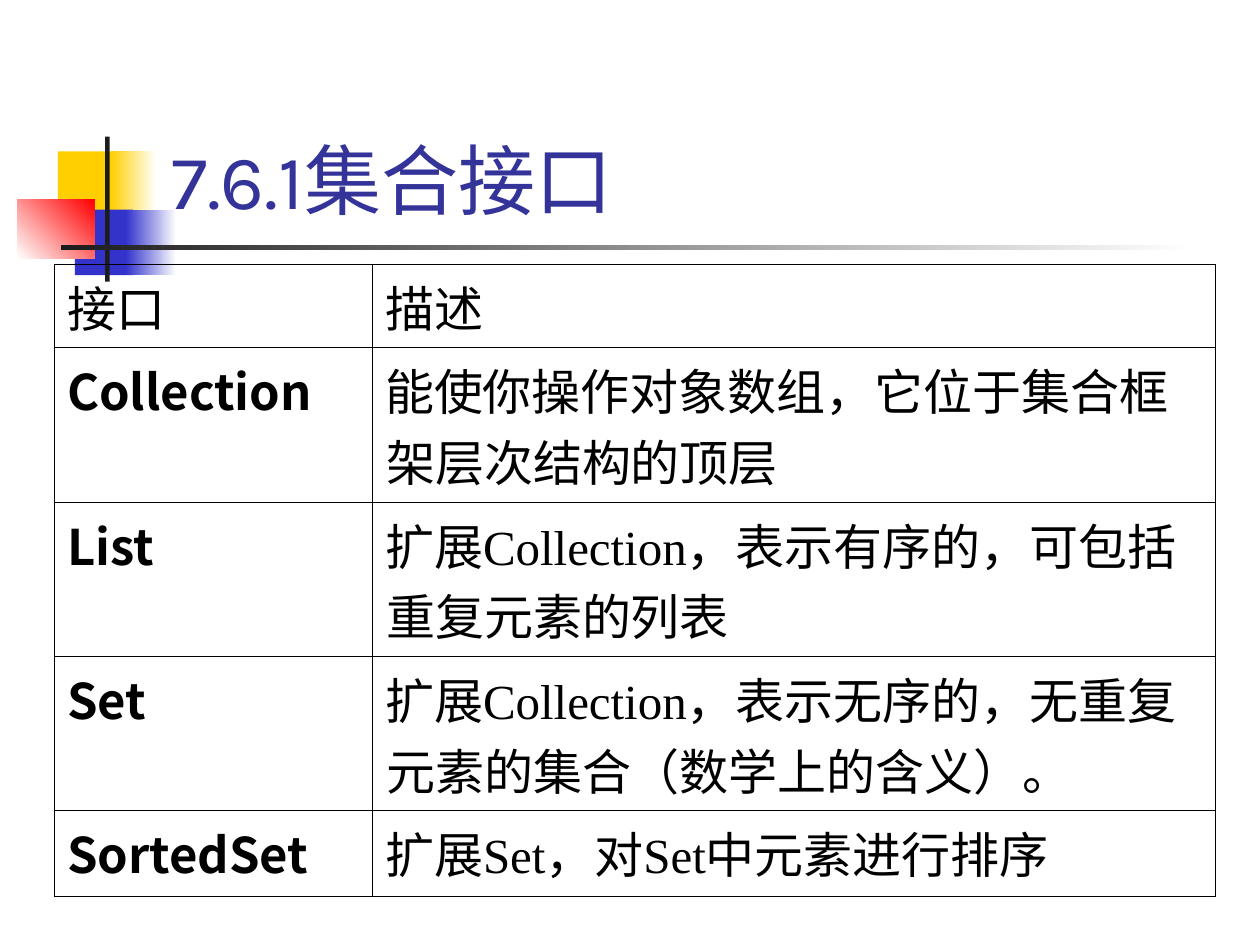
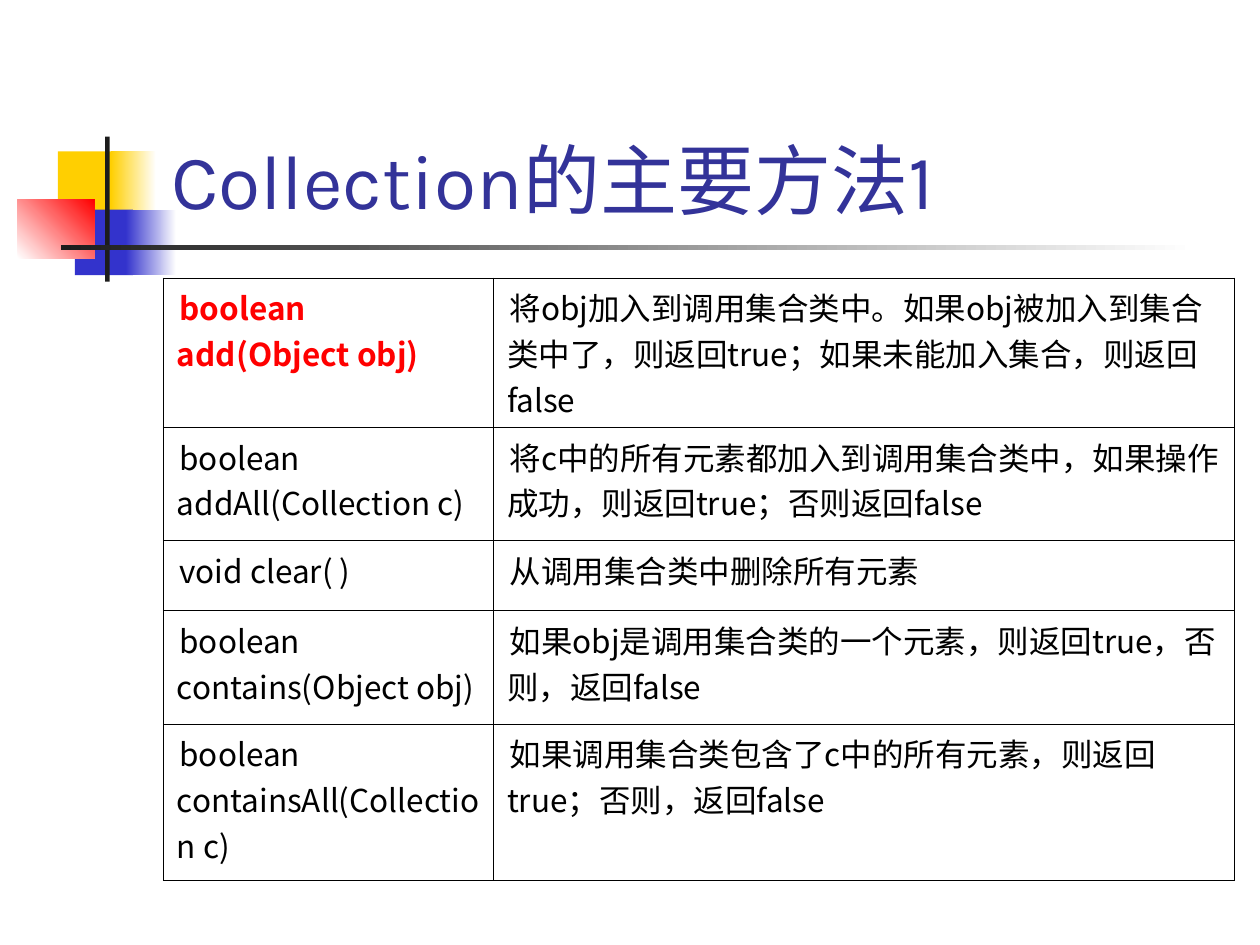
"""Build two slides on Java collection interfaces, laid out on a grid of 100 columns by 75 rows."""
import pptx
import pptx.dml.color
import pptx.enum.shapes
import pptx.enum.text
import pptx.oxml
import pptx.oxml.ns
import pptx.util

COLORS = {
    "gold": "FFCF01", "blue": "3333CC", "red": "FF0000", "white": "FFFFFF",
    "ink": "1C1C1C", "title": "333399", "black": "000000",
}
SANS, SERIF, DISPLAY = "Noto Sans CJK SC", "Times New Roman", "Karla"
BORDER_PT = 0.45

BANDS = [
    (4.6, 12.02, 4.8, 5.2, ["gold"], 0),
    (8.8, 12.02, 3.6, 5.2, ["gold", "white"], 0),
    (5.95, 16.64, 4.6, 5.2, ["blue"], 0),
    (10, 16.64, 4, 5.2, ["blue", "white"], 0),
    (1.4, 15.84, 6.1, 4.65, ["white", "red"], 45),
    (8.35, 10.85, 0.35, 11.5, ["ink"], 0),
    (4.85, 19.47, 90, 0.37, ["ink", "white"], 0),
]

SLIDES = [
    {
        "title": "7.6.1集合接口",
        "origin": (4.33, 21), "cols": [25.24, 66.9], "rows": [6.6, 12.25, 12.25, 12.25, 6.8],
        "size": 28, "body_font": SERIF, "header": True,
        "indents": [(3.8, -3.8), (0.1, -0.1)], "accent": "black", "bold_rows": [1, 2, 3, 4],
        "cells": [
            ("接口", "描述"),
            ("Collection", "能使你操作对象数组，它位于集合框架层次结构的顶层"),
            ("List", "扩展Collection，表示有序的，可包括重复元素的列表"),
            ("Set", "扩展Collection，表示无序的，无重复元素的集合（数学上的含义）。"),
            ("SortedSet", "扩展Set，对Set中元素进行排序"),
        ],
    },
    {
        "title": "Collection的主要方法1",
        "origin": (12.95, 22.07), "cols": [26.2, 58.8], "rows": [11.85, 9, 5.55, 9, 12.4],
        "size": 18, "body_font": SANS, "header": False,
        "indents": [(0.1, 0.2), (0.1, 0.2)], "accent": "red", "bold_rows": [0],
        "cells": [
            ("boolean add(Object obj)",
             "将obj加入到调用集合类中。如果obj被加入到集合类中了，则返回true；如果未能加入集合，则返回false"),
            ("boolean addAll(Collection c)",
             "将c中的所有元素都加入到调用集合类中，如果操作成功，则返回true；否则返回false"),
            ("void clear( )", "从调用集合类中删除所有元素"),
            ("boolean contains(Object obj)", "如果obj是调用集合类的一个元素，则返回true，否则，返回false"),
            ("boolean containsAll(Collection c)",
             "如果调用集合类包含了c中的所有元素，则返回true；否则，返回false"),
        ],
    },
]

prs = pptx.Presentation()
prs.slide_width = pptx.util.Inches(10)
prs.slide_height = pptx.util.Inches(7.5)
unit = prs.slide_width / 100


def grid(*values):
    """Turn grid columns or rows into slide lengths."""
    return [pptx.util.Emu(round(v * unit)) for v in values]


def write(tf, text, size, font, color, bold=False):
    """Set the text of a frame, format its run and return the paragraph."""
    tf.text = text
    tf.word_wrap = True
    p = tf.paragraphs[0]
    r = p.runs[0]
    r.font.size = pptx.util.Pt(size)
    r.font.bold = bold
    r.font.name = font
    r.font.color.rgb = pptx.dml.color.RGBColor.from_string(COLORS[color])
    ea = pptx.oxml.parse_xml(f'<a:ea {pptx.oxml.ns.nsdecls("a")} typeface="{SANS}"/>')
    r.font._element.append(ea)
    return p


for page in SLIDES:
    s = prs.slides.add_slide(prs.slide_layouts[6])

    for x, y, w, h, names, angle in BANDS:
        sp = s.shapes.add_shape(pptx.enum.shapes.MSO_SHAPE.RECTANGLE, *grid(x, y, w, h))
        sp.shadow.inherit = False
        sp.line.fill.background()
        if len(names) == 1:
            sp.fill.solid()
            sp.fill.fore_color.rgb = pptx.dml.color.RGBColor.from_string(COLORS[names[0]])
        else:
            sp.fill.gradient()
            sp.fill.gradient_angle = angle
            for stop, name in zip(sp.fill.gradient_stops, names):
                stop.color.rgb = pptx.dml.color.RGBColor.from_string(COLORS[name])

    title = s.shapes.add_textbox(*grid(12.6, 2.37, 85.2, 16))
    write(title.text_frame, page["title"], 44, DISPLAY, "title")
    title.text_frame.vertical_anchor = pptx.enum.text.MSO_ANCHOR.BOTTOM

    cols, rows = page["cols"], page["rows"]
    frame = s.shapes.add_table(len(rows), len(cols), *grid(*page["origin"], sum(cols), sum(rows)))
    table = frame.table
    table.first_row = table.horz_banding = False
    for column, width in zip(table.columns, grid(*cols)):
        column.width = width
    for row, height in zip(table.rows, grid(*rows)):
        row.height = height

    for i, texts in enumerate(page["cells"]):
        header = page["header"] and i == 0
        for j, text in enumerate(texts):
            cell = table.cell(i, j)
            marked = j == 0 and i in page["bold_rows"]
            font = page["body_font"] if j == 1 and not header else SANS
            color = page["accent"] if marked else "black"
            p = write(cell.text_frame, text, page["size"], font, color, marked)
            margin, indent = grid(*page["indents"][0 if header else j])
            pPr = p._p.get_or_add_pPr()
            pPr.set("marL", str(margin))
            pPr.set("indent", str(indent))

            tcPr = cell._tc.get_or_add_tcPr()
            for side in "LRTB":
                tcPr.append(pptx.oxml.parse_xml(
                    f'<a:ln{side} {pptx.oxml.ns.nsdecls("a")} w="{pptx.util.Pt(BORDER_PT)}">'
                    f'<a:solidFill><a:srgbClr val="{COLORS["black"]}"/></a:solidFill></a:ln{side}>'))
            cell.fill.background()

prs.save("out.pptx")
